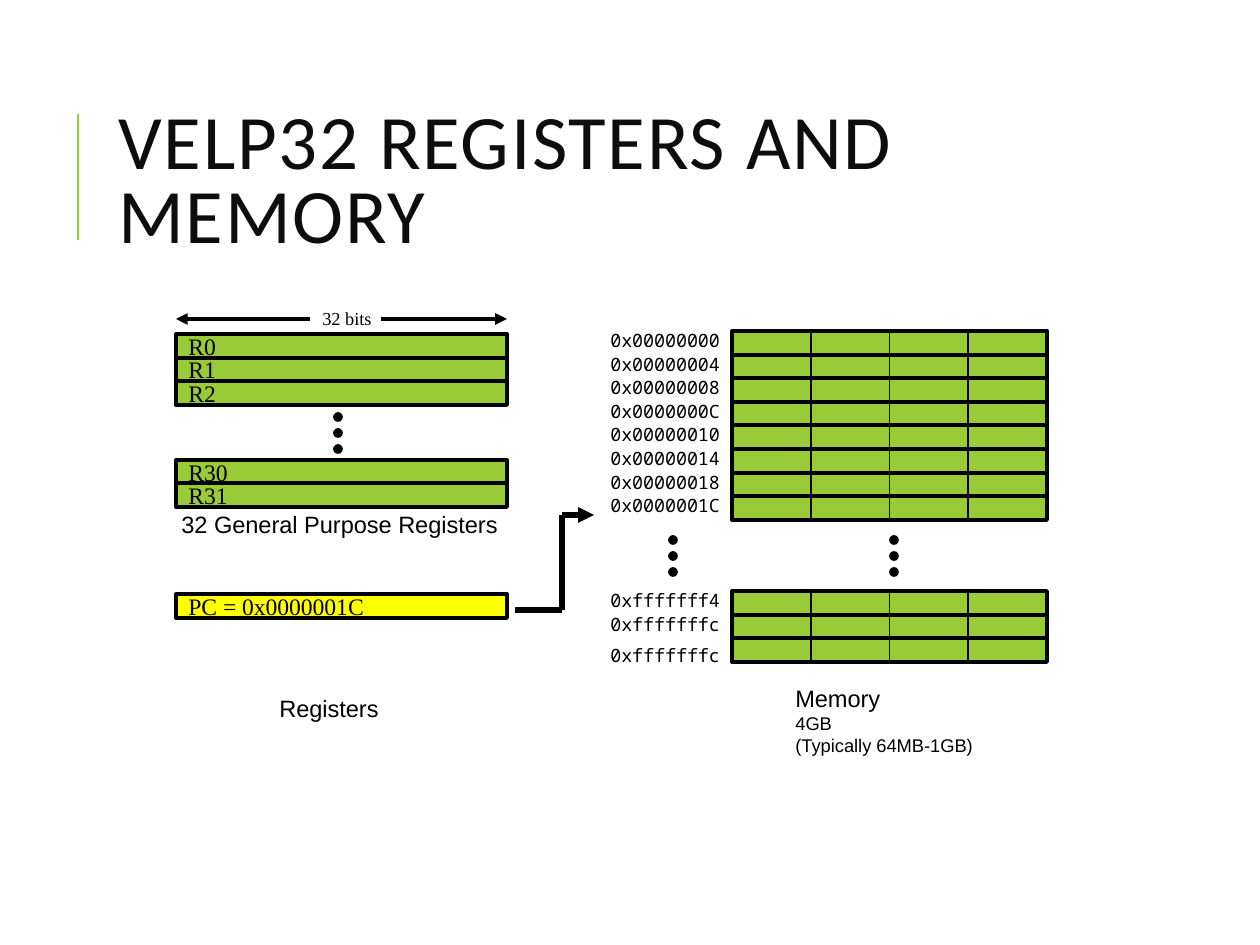
from lxml import etree
from pptx import Presentation
from pptx import util as u
from pptx.dml.color import RGBColor
from pptx.enum import shapes, text
from pptx.oxml.ns import qn

PX = 914400 / 126  # one px in EMU

COLORS = {"green": "99CB38", "yellow": "FFFF00", "black": "000000", "title": "0D0D0D"}
MONO, SANS, SERIF = "Noto Sans Mono", "Arial", "Times New Roman"

# Content: block top, block height, rows
TITLE = "VELP32 REGISTERS AND MEMORY"
REGISTER_BLOCKS = [
    (334, 71, ["R0", "R1", "R2"], "green"),
    (460, 47, ["R30", "R31"], "green"),
    (594, 24, ["PC = 0x0000001C"], "yellow"),
]
# Each address comes with its extra distance below the row
MEMORY_BLOCKS = [
    (331, 189, [("0x00000000", 0), ("0x00000004", 0), ("0x00000008", 0),
                ("0x0000000C", 0), ("0x00000010", 0), ("0x00000014", 0),
                ("0x00000018", 0), ("0x0000001C", 0)]),
    (591, 71, [("0xfffffff4", 0), ("0xfffffffc", 0), ("0xfffffffc", 8)]),
]
CAPTIONS = [
    ((169, 504, 346, 42), [("32 General Purpose Registers", 13.5)]),
    ((267, 688, 126, 42), [("Registers", 13.5)]),
    ((783, 678, 207, 86), [("Memory", 13.5), ("4GB", 10.5), ("(Typically 64MB-1GB)", 10.5)]),
]
DOT_COLUMNS = [(334, 413), (669, 536), (890, 536)]
PC_ROUTE = [(515, 610), (562, 610), (562, 515), (594, 515)]

REGISTER_LEFT, REGISTER_WIDTH = 176, 331
MEMORY_LEFT, MEMORY_WIDTH, BYTES_PER_WORD = 732, 315, 4
ADDRESS_LEFT, ADDRESS_LIFT = 598, 8
DOT_SIZE, DOT_PITCH = 8, 16


def emu(*lengths):
    return [round(length * PX) for length in lengths]


def color(name):
    return RGBColor.from_string(COLORS[name])


def write(shape, paragraphs, font=SANS, ink="black", anchor="TOP", wrap=False,
          grow=False, line_spacing=None, tracking=None):
    """Fill a shape with (text, size) paragraphs."""
    frame = shape.text_frame
    frame.word_wrap = wrap
    frame.vertical_anchor = getattr(text.MSO_ANCHOR, anchor)
    if grow:
        frame.auto_size = text.MSO_AUTO_SIZE.SHAPE_TO_FIT_TEXT
    for index, (words, size) in enumerate(paragraphs):
        paragraph = frame.add_paragraph() if index else frame.paragraphs[0]
        paragraph.alignment = text.PP_ALIGN.LEFT
        if line_spacing:
            paragraph.line_spacing = line_spacing
        run = paragraph.add_run()
        run.text = words
        run.font.name, run.font.size = font, u.Pt(size)
        run.font.color.rgb = color(ink)
        if tracking:
            run.font._element.set("spc", str(tracking))


def add_text(slide, box, paragraphs, **style):
    write(slide.shapes.add_textbox(*emu(*box)), paragraphs, **style)


def add_filled(slide, kind, box, fill, line_width):
    shape = slide.shapes.add_shape(kind, *emu(*box))
    shape.shadow.inherit = False
    shape.fill.solid()
    shape.fill.fore_color.rgb = color(fill)
    shape.line.color.rgb = color("black")
    shape.line.width = u.Pt(line_width)
    return shape


def add_line(slide, start, end, width, ink="black", arrow=False):
    line = slide.shapes.add_connector(shapes.MSO_CONNECTOR.STRAIGHT, *emu(*start, *end))
    line.line.color.rgb = color(ink)
    line.line.width = u.Pt(width)
    if arrow:
        etree.SubElement(line.line._get_or_add_ln(), qn("a:tailEnd"), type="triangle")
    etree.SubElement(line._element.spPr, qn("a:effectLst"))


def add_row(slide, left, top, width, height, fill):
    return add_filled(slide, shapes.MSO_SHAPE.RECTANGLE, (left, top, width, height), fill, 2.25)


def add_registers(slide):
    for top, height, names, fill in REGISTER_BLOCKS:
        row_height = height / len(names)
        for index, name in enumerate(names):
            row = add_row(slide, REGISTER_LEFT, top + index * row_height,
                          REGISTER_WIDTH, row_height, fill)
            write(row, [(name, 13.5)], font=SERIF, anchor="MIDDLE")

    # Width marker above the registers
    add_line(slide, (310, 319), (REGISTER_LEFT, 319), 2.25, arrow=True)
    add_line(slide, (381, 319), (REGISTER_LEFT + REGISTER_WIDTH, 319), 2.25, arrow=True)
    add_text(slide, (310, 301, 75, 35), [("32 bits", 10.5)], font=SERIF,
             anchor="MIDDLE", grow=True)


def add_memory(slide):
    for top, height, addresses in MEMORY_BLOCKS:
        row_height = height / len(addresses)
        for index, (address, drop) in enumerate(addresses):
            row_top = top + index * row_height
            add_row(slide, MEMORY_LEFT, row_top, MEMORY_WIDTH, row_height, "green")
            add_text(slide, (ADDRESS_LEFT, row_top - ADDRESS_LIFT + drop, 136, 35),
                     [(address, 10.5)], font=MONO, grow=True)
        # Byte dividers
        for byte in range(1, BYTES_PER_WORD):
            x = MEMORY_LEFT + byte * MEMORY_WIDTH / BYTES_PER_WORD
            add_line(slide, (x, top), (x, top + height), 1)


def main():
    presentation = Presentation()
    presentation.slide_width, presentation.slide_height = emu(1260, 945)
    slide = presentation.slides.add_slide(presentation.slide_layouts[6])

    # Title with its accent line
    add_line(slide, (78, 240), (78, 114), 1.5, ink="green")
    add_text(slide, (106, 81, 1004, 207), [(TITLE, 44)], font="Calibri", ink="title",
             anchor="MIDDLE", wrap=True, line_spacing=0.8, tracking=100)

    add_memory(slide)
    add_registers(slide)

    # Dots standing for the rows left out
    for left, top in DOT_COLUMNS:
        for index in range(3):
            add_filled(slide, shapes.MSO_SHAPE.OVAL,
                       (left, top + index * DOT_PITCH, DOT_SIZE, DOT_SIZE), "black", 1)

    # Route from the program counter to the memory address
    for start, end in zip(PC_ROUTE, PC_ROUTE[1:]):
        add_line(slide, start, end, 3, arrow=end == PC_ROUTE[-1])

    for box, paragraphs in CAPTIONS:
        add_text(slide, box, paragraphs, grow=True)

    presentation.save("out.pptx")


if __name__ == "__main__":
    main()
